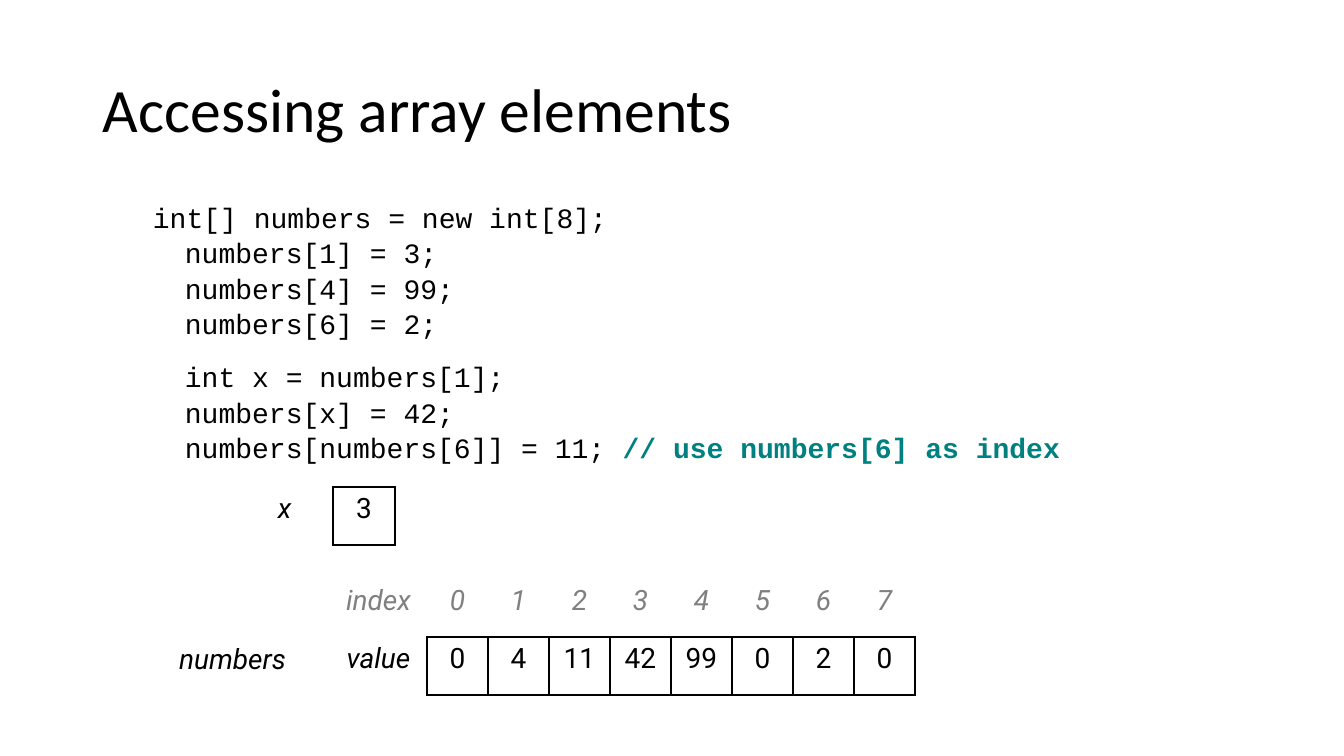
from lxml import etree
from pptx import Presentation
from pptx import util as u
from pptx.dml.color import RGBColor
from pptx.enum import text
from pptx.oxml.ns import qn

BLACK = RGBColor(0x00, 0x00, 0x00)
GRAY = RGBColor(0x80, 0x80, 0x80)
TEAL = RGBColor(0x00, 0x80, 0x80)
PLAIN_TABLE = "{2D5ABB26-0587-4C30-8999-92F81FD0307C}"
THIN, THICK = 1, 2.25


def px(length):
    return u.Emu(round(length * 914400 / 100.8))


class Slide:
    title = dict(name="Calibri", size=u.Pt(44), color=BLACK)
    code = dict(name="Courier New", size=u.Pt(20), color=BLACK)
    comment = dict(code, color=TEAL, bold=True)
    value = dict(name="Roboto", size=u.Pt(20), color=BLACK)
    label = dict(value, italic=True)
    index = dict(label, color=GRAY)

    def __init__(self, deck):
        self.page = deck.slides.add_slide(deck.slide_layouts[6])

    def span(self, para, words, style):
        span = para.add_run()
        span.text = words
        for key, setting in style.items():
            if key == "color":
                span.font.color.rgb = setting
            else:
                setattr(span.font, key, setting)

    def text_box(self, left, top, width, height, paragraphs, anchor=text.MSO_ANCHOR.TOP):
        frame = self.page.shapes.add_textbox(*map(px, (left, top, width, height))).text_frame
        frame.word_wrap = True
        frame.vertical_anchor = anchor
        for number, (spans, spacing, before, margin) in enumerate(paragraphs):
            para = frame.add_paragraph() if number else frame.paragraphs[0]
            para.line_spacing = spacing
            para.space_before = u.Pt(before)
            para._p.get_or_add_pPr().set("marL", str(px(margin)))
            for words, style in spans:
                self.span(para, words, style)

    def border(self, cell, widths):
        properties = cell._tc.get_or_add_tcPr()
        for side, width in zip("LRTB", widths):
            line = etree.SubElement(properties, qn(f"a:ln{side}"), w=str(u.Pt(width)))
            fill = etree.SubElement(line, qn("a:solidFill"))
            etree.SubElement(fill, qn("a:srgbClr"), val=str(BLACK))

    def table(self, left, top, widths, height, rows):
        frame = self.page.shapes.add_table(
            len(rows), len(widths), px(left), px(top), px(sum(widths)), px(height * len(rows)))
        table = frame.table
        table.first_row = table.horz_banding = False
        table._tbl.tblPr.find(qn("a:tableStyleId")).text = PLAIN_TABLE
        for column, width in zip(table.columns, widths):
            column.width = px(width)
        for row, entries in zip(table.rows, rows):
            row.height = px(height)
            for cell, (words, style, borders) in zip(row.cells, entries):
                para = cell.text_frame.paragraphs[0]
                para.alignment = text.PP_ALIGN.CENTER
                self.span(para, words, style)
                self.border(cell, borders)
                cell.fill.background()


deck = Presentation()
deck.slide_width, deck.slide_height = px(1344), px(756)
slide = Slide(deck)

slide.text_box(93, 40, 1159, 146, [([("Accessing array elements", slide.title)], 0.9, 0, 0)],
               text.MSO_ANCHOR.MIDDLE)

code_lines = [
    ("int[] numbers = new int[8];", "", 5, 50),
    ("numbers[1] = 3;", "", 6, 82),
    ("numbers[4] = 99;", "", 6, 82),
    ("numbers[6] = 2;", "", 6, 82),
    ("int x = numbers[1];", "", 19, 82),
    ("numbers[x] = 42;", "", 6, 82),
    ("numbers[numbers[6]] = 11; ", "// use numbers[6] as index", 6, 82),
]
slide.text_box(93, 202, 1159, 480, [
    ([(code, slide.code)] + ([(comment, slide.comment)] if comment else []), 0.8, before, margin)
    for code, comment, before, margin in code_lines])

slide.table(153, 638, [159], 57, [[("numbers", slide.label, ())]])
slide.table(236, 487, [97, 62], 58, [[("x", slide.label, ()), ("3", slide.value, [THICK] * 4)]])

numbers = [0, 4, 11, 42, 99, 0, 2, 0]
last = len(numbers) - 1
index_row = [("index", slide.index, ())]
value_row = [("value", slide.label, ())]
for position, number in enumerate(numbers):
    right = THICK if position == last else THIN
    index_row.append((str(position), slide.index, ()))
    value_row.append((str(number), slide.value, (THIN, right, THIN, THICK)))
slide.table(330, 579, [97] + [61] * len(numbers), 58, [index_row, value_row])

deck.save("out.pptx")
